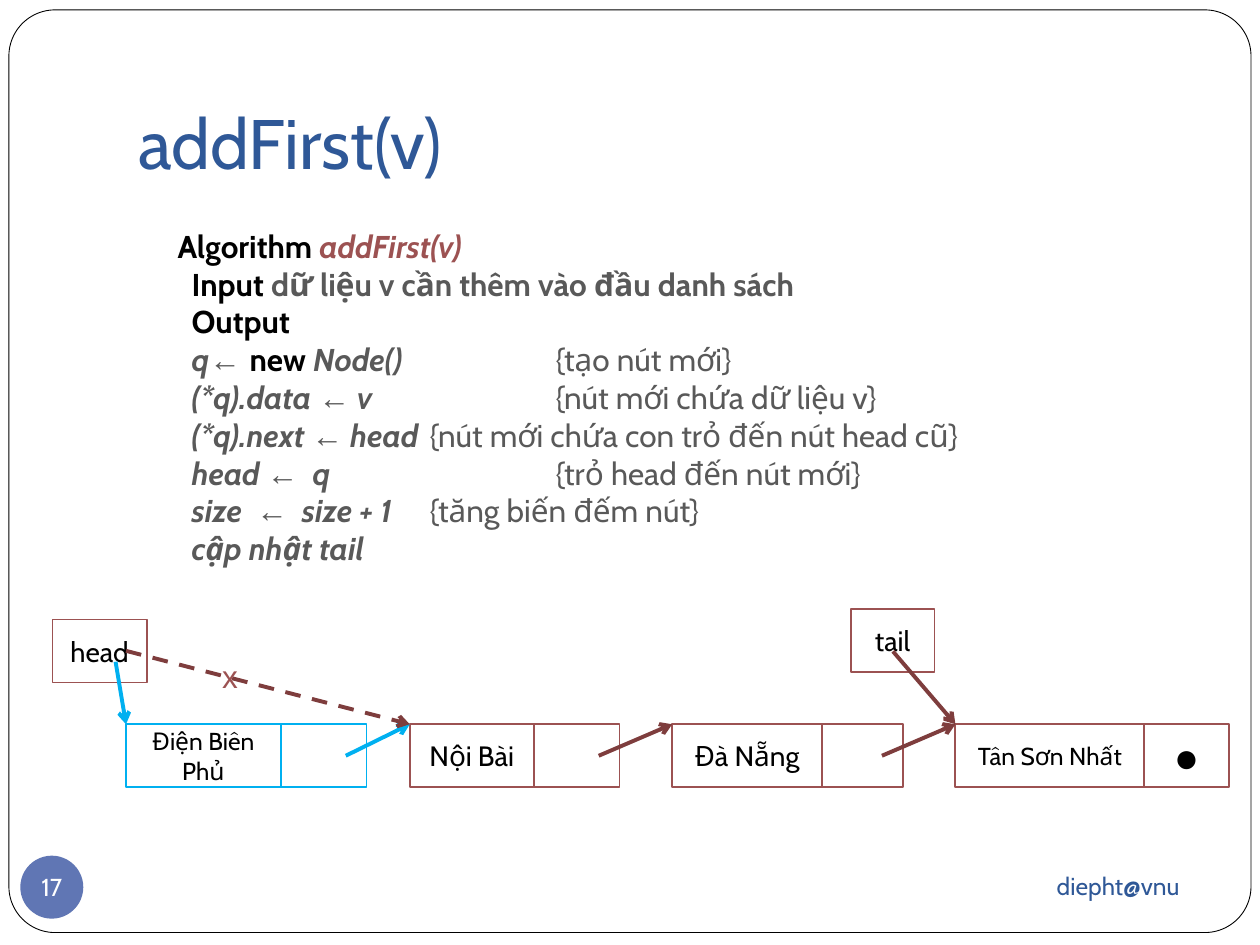
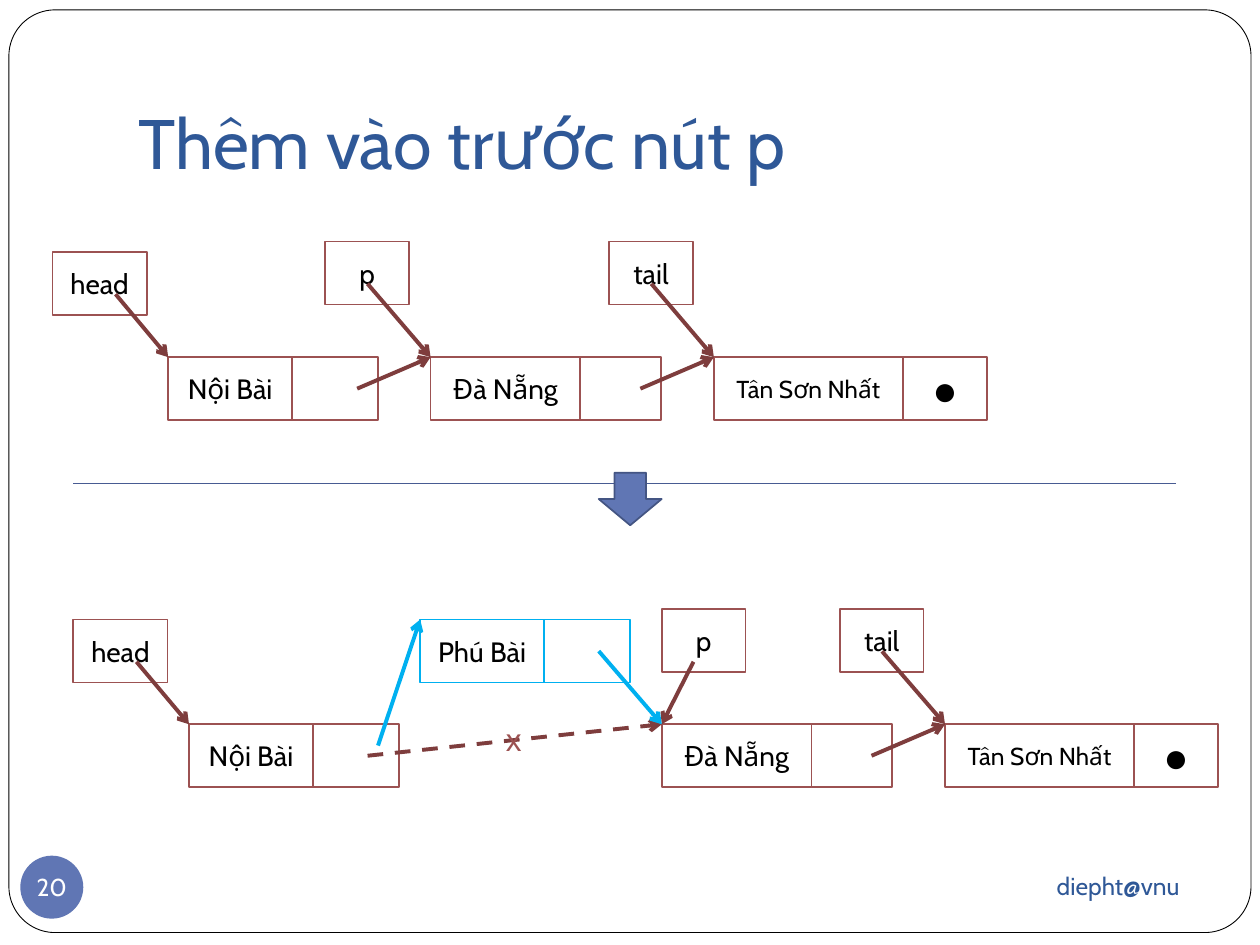
from collections import namedtuple

from lxml import etree
from pptx import Presentation
from pptx import util as u
from pptx.dml.color import RGBColor
from pptx.enum import dml, shapes, text
from pptx.oxml.ns import qn

COLOURS = {
    "white": "FFFFFF",
    "black": "000000",
    "title": "2F5897",
    "badge": "6076B4",
    "badge_edge": "445583",
    "divider": "485B92",
    "node": "9C5252",
    "link": "7E3D3D",
    "new": "00B0F0",
    "code": "595959",
}
FONT = "Cabin"
SYMBOL_FONT = "Arial"
CELL_HEIGHT = 1.27
CELL_WIDTHS = {
    "Nội Bài": (2.5, 1.73),
    "Phú Bài": (2.5, 1.73),
    "Đà Nẵng": (3.02, 1.63),
    "Tân Sơn Nhất": (3.81, 1.7),
    "Điện Biên Phủ": (3.12, 1.73),
}
LONG_NAMES = ("Tân Sơn Nhất", "Điện Biên Phủ")
CODE_STYLES = {
    "keyword": {"bold": True, "color": "black"},
    "name": {"bold": True, "italic": True, "color": "node"},
    "detail": {"bold": True, "color": "code"},
    "code": {"bold": True, "italic": True, "color": "code"},
    "arrow": {"bold": True, "italic": True, "color": "code", "name": SYMBOL_FONT},
    "note": {"color": "code"},
}
ALGORITHM = [
    [("Algorithm ", "keyword"), ("addFirst(v)", "name")],
    [("  Input ", "keyword"), ("dữ liệu v cần thêm vào đầu danh sách", "detail")],
    [("  Output", "keyword")],
    [("  q", "code"), ("← ", "arrow"), ("new", "keyword"),
     (" Node()\t\t", "code"), ("{tạo nút mới}", "note")],
    [("  (*q).data ", "code"), ("←", "arrow"), (" v\t\t", "code"),
     ("{nút mới chứa dữ liệu v}", "note")],
    [("  (*q).next ", "code"), ("←", "arrow"), (" head\t", "code"),
     ("{nút mới chứa con trỏ đến nút head cũ}", "note")],
    [("  head ", "code"), ("←", "arrow"), ("  q\t\t", "code"),
     ("{trỏ head đến nút mới}", "note")],
    [("  size  ", "code"), ("←", "arrow"), ("  size + 1\t", "code"),
     ("{tăng biến đếm nút}", "note")],
    [("  cập nhật tail", "code")],
]
Node = namedtuple("Node", "corner port")


def rgb(key):
    return RGBColor.from_string(COLOURS[key])


def apply(target, values):
    for attribute, value in values.items():
        setattr(target, attribute, value)


def add_run(paragraph, wording, size, color="black", **values):
    run = paragraph.add_run()
    run.text = wording
    apply(run.font, {"name": FONT, "size": u.Pt(size), **values})
    run.font.color.rgb = rgb(color)


def write(shape, wording, size, color="black", font=FONT, align="CENTER",
          anchor="MIDDLE", **frame_values):
    frame = shape.text_frame
    apply(frame, {"word_wrap": True,
                  "vertical_anchor": getattr(text.MSO_ANCHOR, anchor),
                  **frame_values})
    paragraph = frame.paragraphs[0]
    paragraph.alignment = getattr(text.PP_ALIGN, align)
    add_run(paragraph, wording, size, color, name=font)


def add_block(parent, preset, box, fill, edge=None, weight=1):
    block = parent.add_shape(preset, *map(u.Cm, box))
    block.shadow.inherit = False
    block.fill.solid()
    block.fill.fore_color.rgb = rgb(fill)
    if edge:
        block.line.color.rgb = rgb(edge)
        block.line.width = u.Pt(weight)
    else:
        block.line.fill.background()
    return block


def add_line(slide, start, end, color, weight):
    line = slide.shapes.add_connector(
        shapes.MSO_CONNECTOR.STRAIGHT, *map(u.Cm, (*start, *end)))
    line.line.color.rgb = rgb(color)
    line.line.width = u.Pt(weight)
    etree.SubElement(line._element.spPr, qn("a:effectLst"))
    return line


def add_link(slide, start, end, color="link", dashed=False):
    link = add_line(slide, start, end, color, 2.25)
    if dashed:
        link.line.dash_style = dml.MSO_LINE.DASH
    etree.SubElement(link.line._get_or_add_ln(), qn("a:tailEnd"), type="arrow")


def add_cell(parent, box, edge, label="", size=16, font=FONT):
    cell = add_block(parent, shapes.MSO_SHAPE.RECTANGLE, box, "white", edge)
    if label:
        write(cell, label, size, font=font)


def add_node(slide, label, left, top, edge="node", last=False, port_inset=0.42):
    data_width, next_width = CELL_WIDTHS[label]
    group = slide.shapes.add_group_shape().shapes
    add_cell(group, (left, top, data_width, CELL_HEIGHT), edge, label,
             14 if label in LONG_NAMES else 16)
    add_cell(group, (left + data_width, top, next_width, CELL_HEIGHT), edge,
             "●" if last else "", 24, SYMBOL_FONT)
    port = (left + data_width + next_width - port_inset, top + CELL_HEIGHT / 2)
    return Node((left, top), port)


def add_pointer(slide, label, left, top, node, offset=(0.85, 0.85), color="link"):
    width = 1.9 if label == "head" else 1.69
    add_cell(slide.shapes, (left, top, width, CELL_HEIGHT), "node", label)
    add_link(slide, (left + offset[0], top + offset[1]), node.corner, color)


def add_text(slide, box, *args, **values):
    write(slide.shapes.add_textbox(*map(u.Cm, box)), *args, **values)


def add_cross(slide, left, top):
    add_text(slide, (left, top, 0.82, 1.02), "x", 18, "node", SYMBOL_FONT,
             "LEFT", "TOP", word_wrap=False)


def add_algorithm(slide):
    box = slide.shapes.add_textbox(*map(u.Cm, (3.33, 4.45, 17.35, 7.11)))
    box.text_frame.word_wrap = False
    for index, line in enumerate(ALGORITHM):
        frame = box.text_frame
        paragraph = frame.add_paragraph() if index else frame.paragraphs[0]
        stops = etree.SubElement(paragraph._p.get_or_add_pPr(), qn("a:tabLst"))
        for inch in range(1, 8):
            etree.SubElement(stops, qn("a:tab"), pos=str(u.Inches(inch)), algn="l")
        for wording, style in line:
            add_run(paragraph, wording, 18, **CODE_STYLES[style])


def start_slide(deck, title, number):
    slide = deck.slides.add_slide(deck.slide_layouts[6])
    border = add_block(slide.shapes, shapes.MSO_SHAPE.ROUNDED_RECTANGLE,
                       (0.18, 0.2, 25.04, 18.6), "white", "black", 0.5)
    border.adjustments[0] = 0.05
    add_text(slide, (2.54, 0.76, 21.59, 3.18), title, 40, "title",
             align="LEFT", anchor="BOTTOM", margin_bottom=u.Cm(0.25))
    add_text(slide, (17.15, 17.2, 6.88, 1.32), "diepht@vnu", 14, "title",
             align="RIGHT")
    badge = add_block(slide.shapes, shapes.MSO_SHAPE.OVAL,
                      (0.41, 17.25, 1.27, 1.27), "badge")
    write(badge, str(number), 14, "white", word_wrap=False, margin_left=0,
          margin_right=0, margin_top=0, margin_bottom=0)
    return slide


def build_add_first(deck):
    slide = start_slide(deck, "addFirst(v)", 17)
    row = 14.6
    noi_bai = add_node(slide, "Nội Bài", 8.26, row)
    da_nang = add_node(slide, "Đà Nẵng", 13.55, row)
    tan_son_nhat = add_node(slide, "Tân Sơn Nhất", 19.26, row, last=True)
    dien_bien = add_node(slide, "Điện Biên Phủ", 2.54, row, "new")
    add_link(slide, noi_bai.port, da_nang.corner)
    add_link(slide, da_nang.port, tan_son_nhat.corner)
    add_link(slide, dien_bien.port, noi_bai.corner, "new")
    add_pointer(slide, "head", 1.06, 12.49, dien_bien, (1.27, 0.85), "new")
    add_pointer(slide, "tail", 17.15, 12.28, tan_son_nhat)
    add_link(slide, (2.54, 13.12), noi_bai.corner, dashed=True)
    add_cross(slide, 4.23, 13.12)
    add_algorithm(slide)


def build_insert_before(deck):
    slide = start_slide(deck, "Thêm vào trước nút p", 20)

    before = 7.2
    noi_bai = add_node(slide, "Nội Bài", 3.39, before)
    da_nang = add_node(slide, "Đà Nẵng", 8.68, before)
    tan_son_nhat = add_node(slide, "Tân Sơn Nhất", 14.39, before, last=True)
    add_link(slide, noi_bai.port, da_nang.corner)
    add_link(slide, da_nang.port, tan_son_nhat.corner)
    add_pointer(slide, "head", 1.06, 5.08, noi_bai, (1.27, 0.85))
    add_pointer(slide, "tail", 12.28, 4.87, tan_son_nhat)
    add_pointer(slide, "p", 6.56, 4.87, da_nang)

    add_line(slide, (1.48, 9.74), (23.71, 9.74), "divider", 0.75)
    add_block(slide.shapes, shapes.MSO_SHAPE.DOWN_ARROW,
              (12.07, 9.53, 1.27, 1.06), "badge", "badge_edge")

    after = 14.6
    noi_bai = add_node(slide, "Nội Bài", 3.81, after, port_inset=0.63)
    da_nang = add_node(slide, "Đà Nẵng", 13.34, after)
    tan_son_nhat = add_node(slide, "Tân Sơn Nhất", 19.05, after, last=True)
    phu_bai = add_node(slide, "Phú Bài", 8.47, 12.49, "new", port_inset=0.63)
    add_link(slide, noi_bai.port, da_nang.corner, dashed=True)
    add_link(slide, da_nang.port, tan_son_nhat.corner)
    add_pointer(slide, "head", 1.48, 12.49, noi_bai, (1.27, 0.85))
    add_pointer(slide, "tail", 16.93, 12.28, tan_son_nhat)
    add_pointer(slide, "p", 13.34, 12.28, da_nang, (0.64, 1.06))
    add_cross(slide, 9.95, 14.4)
    add_link(slide, phu_bai.port, da_nang.corner, "new")
    add_link(slide, (7.62, 15.03), phu_bai.corner, "new")


def main():
    deck = Presentation()
    apply(deck, {"slide_width": u.Cm(25.4), "slide_height": u.Cm(19.05)})
    build_add_first(deck)
    build_insert_before(deck)
    deck.save("out.pptx")


if __name__ == "__main__":
    main()
